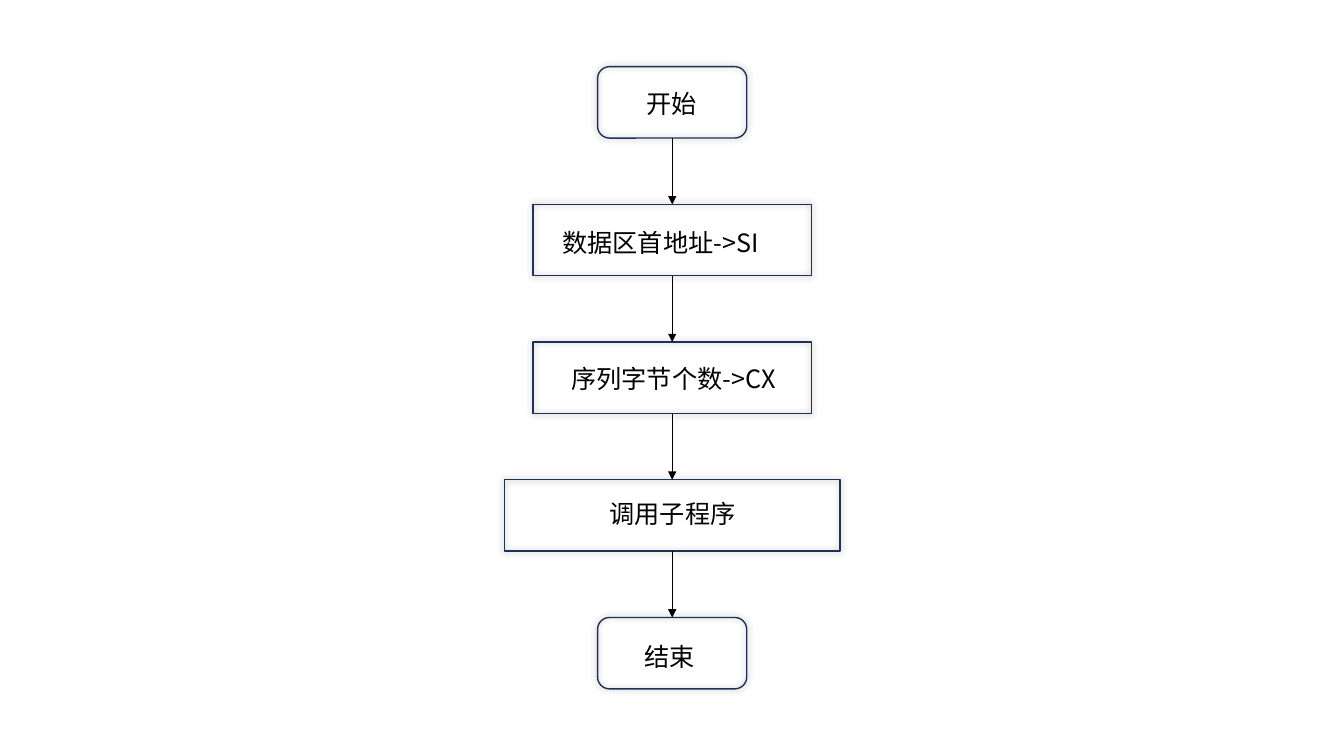
import dataclasses

import pptx
import pptx.dml.color
import pptx.enum.shapes
import pptx.enum.text
import pptx.oxml
import pptx.oxml.ns
import pptx.util

Cm = pptx.util.Cm
Pt = pptx.util.Pt
MSO_SHAPE = pptx.enum.shapes.MSO_SHAPE
BOTTOM, TOP = 2, 0


@dataclasses.dataclass(frozen=True)
class Theme:
    font: str = "Noto Sans CJK SC"
    text_size: float = 18
    ink: str = "000000"
    outline: str = "1E3256"
    outline_width: float = 1


class FlowChart:
    def __init__(self, slide, theme):
        self.slide = slide
        self.theme = theme

    def add_drawing_xml(self, parent, xml):
        ns = pptx.oxml.ns.nsdecls("a")
        parent.append(pptx.oxml.parse_xml(xml.replace(">", f" {ns}>", 1)))

    def style_line(self, line, color, width):
        line.color.rgb = pptx.dml.color.RGBColor.from_string(color)
        line.width = Pt(width)

    def box(self, shape_type, left, top, width, height):
        """Add an unfilled box with a soft glow-like shadow."""
        sp = self.slide.shapes.add_shape(
            shape_type, Cm(left), Cm(top), Cm(width), Cm(height))
        sp.fill.background()
        self.style_line(sp.line, self.theme.outline, self.theme.outline_width)
        self.add_drawing_xml(
            sp._element.spPr,
            f'<a:effectLst><a:outerShdw blurRad="{Pt(5)}" dist="0" dir="0" '
            f'algn="ctr" rotWithShape="0"><a:srgbClr val="{self.theme.ink}">'
            '<a:alpha val="40000"/></a:srgbClr></a:outerShdw></a:effectLst>')
        return sp

    def label(self, text, left, top, width, height=1.02):
        tb = self.slide.shapes.add_textbox(
            Cm(left), Cm(top), Cm(width), Cm(height))
        tf = tb.text_frame
        tf.word_wrap = True
        tf.auto_size = pptx.enum.text.MSO_AUTO_SIZE.SHAPE_TO_FIT_TEXT
        r = tf.paragraphs[0].add_run()
        r.text = text
        r.font.size = Pt(self.theme.text_size)
        r.font.name = self.theme.font
        r.font.color.rgb = pptx.dml.color.RGBColor.from_string(self.theme.ink)
        self.add_drawing_xml(
            r._r.get_or_add_rPr(), f'<a:ea typeface="{self.theme.font}"></a:ea>')

    def arrow(self, upper, lower, width):
        cxn = self.slide.shapes.add_connector(
            pptx.enum.shapes.MSO_CONNECTOR.STRAIGHT, 0, 0, 0, 0)
        cxn.begin_connect(upper, BOTTOM)
        cxn.end_connect(lower, TOP)
        self.style_line(cxn.line, self.theme.ink, width)
        self.add_drawing_xml(
            cxn.line._get_or_add_ln(), '<a:tailEnd type="triangle"></a:tailEnd>')
        self.add_drawing_xml(cxn._element.spPr, "<a:effectLst></a:effectLst>")


def main():
    prs = pptx.Presentation()
    prs.slide_width, prs.slide_height = Cm(33.87), Cm(19.05)
    slide = prs.slides.add_slide(prs.slide_layouts[6])
    chart = FlowChart(slide, Theme())

    center, first_top, pitch, height = 16.94, 1.68, 3.47, 1.8
    terminal, process = MSO_SHAPE.ROUNDED_RECTANGLE, MSO_SHAPE.RECTANGLE
    # shape, box width, text, label left, label top, label width
    steps = [
        (terminal, 3.76, "开始", 16.05, 2.11, 1.8),
        (process, 7.01, "数据区首地址->SI", 13.92, 5.61, 6.05),
        (process, 7.01, "序列字节个数->CX", 14.15, 9.02, 6.27),
        (process, 8.46, "调用子程序", 15.11, 12.42, 3.99),
        (terminal, 3.76, "结束", 16.0, 16.03, 1.8),
    ]
    boxes = []
    for i, (shape_type, width, text, *place) in enumerate(steps):
        boxes.append(chart.box(
            shape_type, center - width / 2, first_top + i * pitch, width, height))
        chart.label(text, *place)

    for upper, lower, width in zip(boxes, boxes[1:], (1, 0.5, 0.5, 0.5)):
        chart.arrow(upper, lower, width)

    prs.save("out.pptx")


if __name__ == "__main__":
    main()
